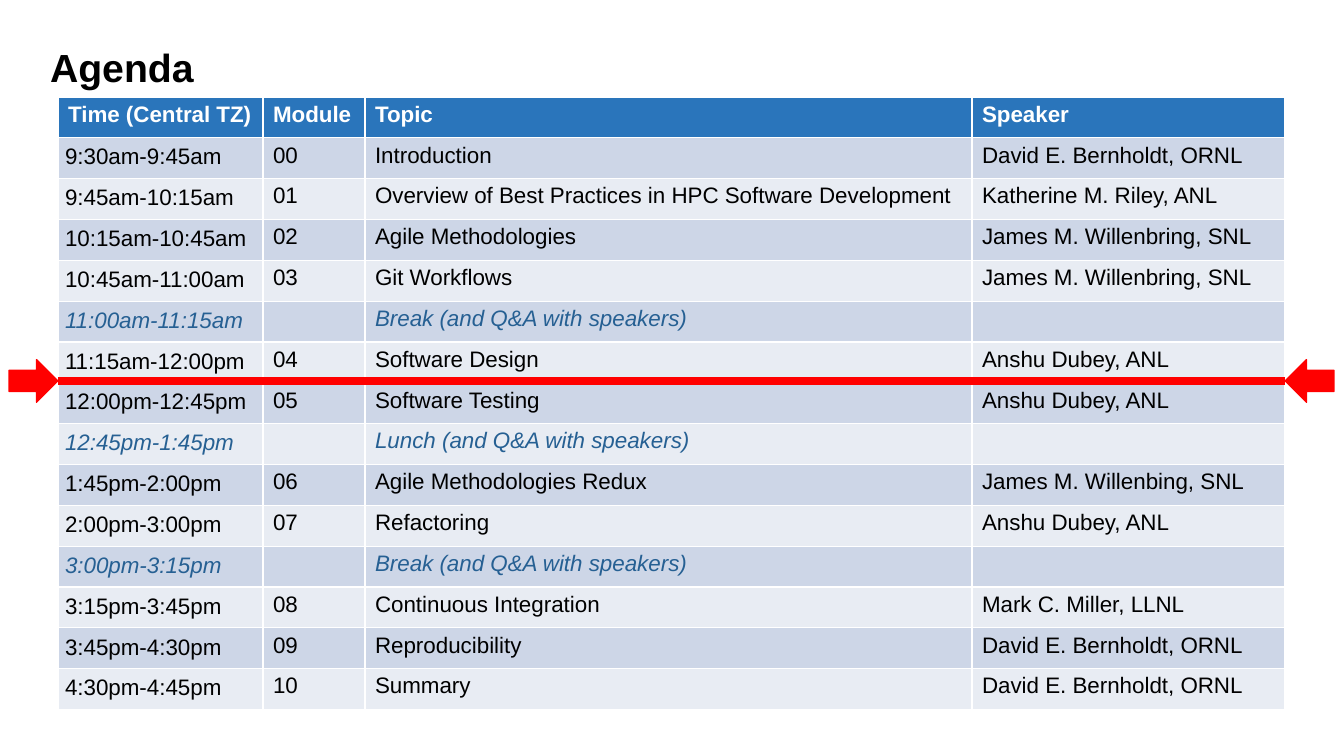
from pptx import Presentation
from pptx import util as u
from pptx.dml.color import RGBColor
from pptx.enum import shapes, text
from pptx.oxml.ns import qn
from lxml import etree

BLACK = RGBColor(0x00, 0x00, 0x00)
WHITE = RGBColor(0xFF, 0xFF, 0xFF)
RED = RGBColor(0xFF, 0x00, 0x00)
HEADER_BLUE = RGBColor(0x2A, 0x75, 0xBB)
BREAK_BLUE = RGBColor(0x26, 0x60, 0x93)
BANDS = [RGBColor(0xE8, 0xEC, 0xF3), RGBColor(0xCD, 0xD6, 0xE7)]

SCALE = 914400 / 100.8
LEFT, WIDTH, TOP, HEIGHT = 58, 1227, 97, 613
COLUMNS = [205, 102, 607, 313]
MARKER_Y = 381
ARROW_WIDTH, ARROW_HEIGHT = 49, 43

AGENDA = [
    ("Time (Central TZ)", "Module", "Topic", "Speaker"),
    ("9:30am-9:45am", "00", "Introduction", "David E. Bernholdt, ORNL"),
    ("9:45am-10:15am", "01", "Overview of Best Practices in HPC Software Development",
     "Katherine M. Riley, ANL"),
    ("10:15am-10:45am", "02", "Agile Methodologies", "James M. Willenbring, SNL"),
    ("10:45am-11:00am", "03", "Git Workflows", "James M. Willenbring, SNL"),
    ("11:00am-11:15am", "", "Break (and Q&A with speakers)", ""),
    ("11:15am-12:00pm", "04", "Software Design", "Anshu Dubey, ANL"),
    ("12:00pm-12:45pm", "05", "Software Testing", "Anshu Dubey, ANL"),
    ("12:45pm-1:45pm", "", "Lunch (and Q&A with speakers)", ""),
    ("1:45pm-2:00pm", "06", "Agile Methodologies Redux", "James M. Willenbing, SNL"),
    ("2:00pm-3:00pm", "07", "Refactoring", "Anshu Dubey, ANL"),
    ("3:00pm-3:15pm", "", "Break (and Q&A with speakers)", ""),
    ("3:15pm-3:45pm", "08", "Continuous Integration", "Mark C. Miller, LLNL"),
    ("3:45pm-4:30pm", "09", "Reproducibility", "David E. Bernholdt, ORNL"),
    ("4:30pm-4:45pm", "10", "Summary", "David E. Bernholdt, ORNL"),
]


def px(length):
    return u.Emu(round(length * SCALE))


def style(paragraph, size, color, bold=False, italic=False):
    font = paragraph.font
    font.name, font.size = "Arial", u.Pt(size)
    font.bold, font.italic = bold, italic
    font.color.rgb = color


deck = Presentation()
deck.slide_width, deck.slide_height = px(1344), px(756)
slide = deck.slides.add_slide(deck.slide_layouts[5])

title = slide.shapes.title
title.left, title.top, title.width, title.height = px(40), px(45), px(1254), px(101)
title.text_frame.text = "Agenda"
title.text_frame.vertical_anchor = text.MSO_ANCHOR.TOP
heading = title.text_frame.paragraphs[0]
heading.alignment = text.PP_ALIGN.LEFT
heading.line_spacing = 0.85
style(heading, 28, BLACK, bold=True)

schedule = slide.shapes.add_table(len(AGENDA), len(COLUMNS),
                                  px(LEFT), px(TOP), px(WIDTH), px(HEIGHT)).table
for column, width in zip(schedule.columns, COLUMNS):
    column.width = px(width)

for r, session in enumerate(AGENDA):
    is_header = r == 0
    is_break = not session[1]
    color = WHITE if is_header else BREAK_BLUE if is_break else BLACK
    for c, entry in enumerate(session):
        cell = schedule.cell(r, c)
        cell.fill.solid()
        cell.fill.fore_color.rgb = HEADER_BLUE if is_header else BANDS[r % 2]
        cell.text = entry
        style(cell.text_frame.paragraphs[0], 16, color, bold=is_header, italic=is_break)
        if c == 0 and not is_header:
            cell.margin_left = cell.margin_right = px(7)
            cell.margin_top = cell.margin_bottom = px(7)

marker = slide.shapes.add_group_shape()
rule = marker.shapes.add_connector(shapes.MSO_CONNECTOR.STRAIGHT, px(LEFT), px(MARKER_Y),
                                   px(LEFT + WIDTH), px(MARKER_Y))
rule.line.color.rgb = RED
rule.line.width = u.Pt(6)
etree.SubElement(rule._element.spPr, qn("a:effectLst"))

for left, rotation in [(LEFT - ARROW_WIDTH, 0), (LEFT + WIDTH, 180)]:
    arrow = marker.shapes.add_shape(shapes.MSO_SHAPE.RIGHT_ARROW, px(left),
                                    px(MARKER_Y - ARROW_HEIGHT / 2),
                                    px(ARROW_WIDTH), px(ARROW_HEIGHT))
    arrow.rotation = rotation
    arrow.shadow.inherit = False
    arrow.fill.solid()
    arrow.fill.fore_color.rgb = RED
    arrow.line.color.rgb = RED
    arrow.line.width = u.Pt(0.75)

deck.save("out.pptx")
